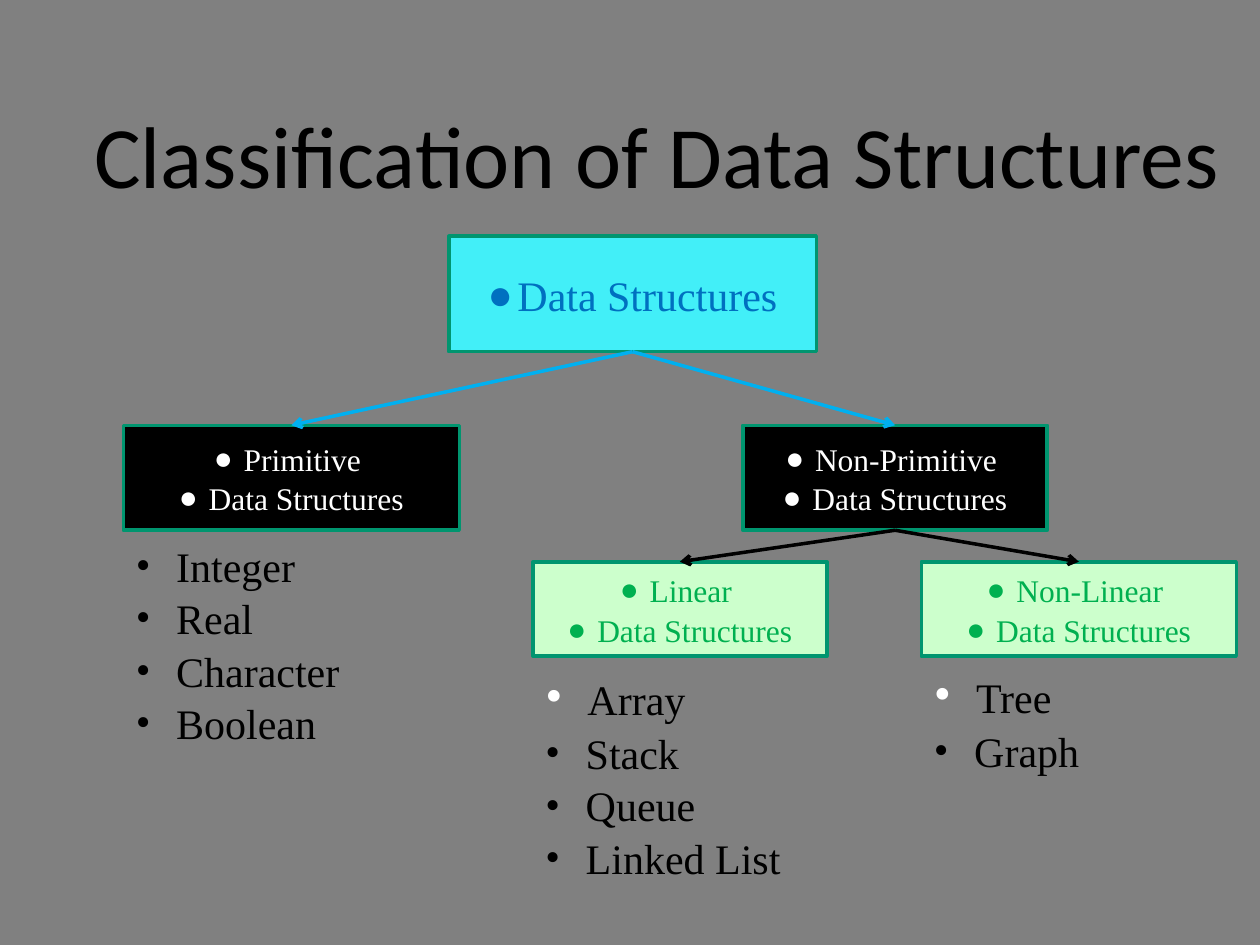
from pptx import Presentation
from pptx.dml.color import RGBColor
from pptx.enum.shapes import MSO_CONNECTOR, MSO_SHAPE
from pptx.enum.text import MSO_ANCHOR, MSO_AUTO_SIZE, PP_ALIGN
from pptx.oxml.ns import qn
from pptx.util import Pt
from lxml.etree import SubElement

SERIF = "Times New Roman"
BLACK = "000000"
WHITE = "FFFFFF"
BORDER = "00956F"
BULLET_INDENT = Pt(17)


def color(hex_code):
    return RGBColor.from_string(hex_code)


def place(shape, left, top, width, height):
    shape.left, shape.top = Pt(left), Pt(top)
    shape.width, shape.height = Pt(width), Pt(height)


def set_font(font, name, size, hex_code):
    font.name = name
    font.size = Pt(size)
    font.bold = False
    font.color.rgb = color(hex_code)


def add_bullet(para, character, hex_code):
    properties = para._p.get_or_add_pPr()
    properties.set("marL", str(BULLET_INDENT))
    properties.set("indent", str(-BULLET_INDENT))
    fill = SubElement(properties, qn("a:buClr"))
    SubElement(fill, qn("a:srgbClr"), val=hex_code)
    SubElement(properties, qn("a:buFont"), typeface=SERIF)
    SubElement(properties, qn("a:buChar"), char=character)


def write_bullets(frame, lines, character, size, hex_code, alignment):
    frame.text = "\n".join(lines)
    for para in frame.paragraphs:
        add_bullet(para, character, hex_code)
        para.alignment = alignment
        para.line_spacing = 1.04
        para.space_before = Pt(0)
        set_font(para.font, SERIF, size, hex_code)


def write_title(title, text):
    place(title, 45.4, 54, 660, 67.7)
    frame = title.text_frame
    frame.text = text
    frame.auto_size = MSO_AUTO_SIZE.SHAPE_TO_FIT_TEXT
    para = frame.paragraphs[0]
    para.alignment = PP_ALIGN.CENTER
    set_font(para.font, "Calibri", 50, BLACK)


def add_node(page, bounds, lines, size, fill, text_color):
    box = page.shapes.add_shape(MSO_SHAPE.RECTANGLE, *map(Pt, bounds))
    box.shadow.inherit = False
    box.fill.solid()
    box.fill.fore_color.rgb = color(fill)
    box.line.color.rgb = color(BORDER)
    box.line.width = Pt(2)
    box.text_frame.vertical_anchor = MSO_ANCHOR.MIDDLE
    write_bullets(box.text_frame, lines, "●", size, text_color, PP_ALIGN.CENTER)
    return box


def add_arrow(page, parent, child, hex_code):
    arrow = page.shapes.add_connector(MSO_CONNECTOR.STRAIGHT, 0, 0, 0, 0)
    arrow.begin_connect(parent, 2)
    arrow.end_connect(child, 0)
    arrow.line.color.rgb = color(hex_code)
    arrow.line.width = Pt(2)
    SubElement(arrow.line._get_or_add_ln(), qn("a:tailEnd"), type="arrow")
    SubElement(arrow._element.spPr, qn("a:effectLst"))


def write_list(box, bounds, items):
    place(box, *bounds)
    frame = box.text_frame
    frame.vertical_anchor = MSO_ANCHOR.TOP
    frame.auto_size = MSO_AUTO_SIZE.SHAPE_TO_FIT_TEXT
    lines = [f" {item}" for item in items]
    write_bullets(frame, lines, "•", 24, BLACK, PP_ALIGN.LEFT)


def enlarge_first_bullet(box):
    para = box.text_frame.paragraphs[0]
    lead = para.runs[0]
    word = para.add_run()
    word.text = lead.text.strip()
    lead.text = " "
    set_font(lead.font, SERIF, 28, WHITE)
    para._p.pPr.find(qn("a:buClr"))[0].set("val", WHITE)


def main():
    deck = Presentation()
    deck.slide_width, deck.slide_height = Pt(720), Pt(540)
    page = deck.slides.add_slide(deck.slide_layouts.get_by_name("Comparison"))
    page.background.fill.solid()
    page.background.fill.fore_color.rgb = color("808080")
    write_title(page.shapes.title, "Classification of Data Structures")

    kind = "Data Structures"
    root = add_node(page, (256.5, 135, 210, 66), [kind], 24, "42EFF8", "0070C0")
    primitive, non_primitive = [
        add_node(page, (left, 243, width, 60), [name, kind], 18, BLACK, WHITE)
        for left, width, name in [(70.5, 192, "Primitive "), (424.5, 174, "Non-Primitive ")]
    ]
    linear, non_linear = [
        add_node(page, (left, 321, width, 54), [name, kind], 18, "CCFFCC", "00B050")
        for left, width, name in [(304.5, 168, "Linear "), (526.5, 180, "Non-Linear ")]
    ]

    for parent, child, hex_code in [
        (root, non_primitive, "00B0F0"),
        (root, primitive, "00B0F0"),
        (non_primitive, linear, BLACK),
        (non_primitive, non_linear, BLACK),
    ]:
        add_arrow(page, parent, child, hex_code)

    primitive_list, linear_list, non_linear_list, spare = [
        page.placeholders[index] for index in (2, 4, 1, 3)
    ]
    write_list(primitive_list, (70.5, 304, 168, 122.4),
               ["Integer", "Real", "Character", "Boolean"])
    write_list(linear_list, (304.5, 376, 168, 127.4),
               ["Array", "Stack", "Queue", "Linked List"])
    write_list(non_linear_list, (526.5, 375, 168, 69.8), ["Tree", "Graph"])
    for box in (linear_list, non_linear_list):
        enlarge_first_bullet(box)
    spare._element.getparent().remove(spare._element)

    deck.save("out.pptx")


if __name__ == "__main__":
    main()
